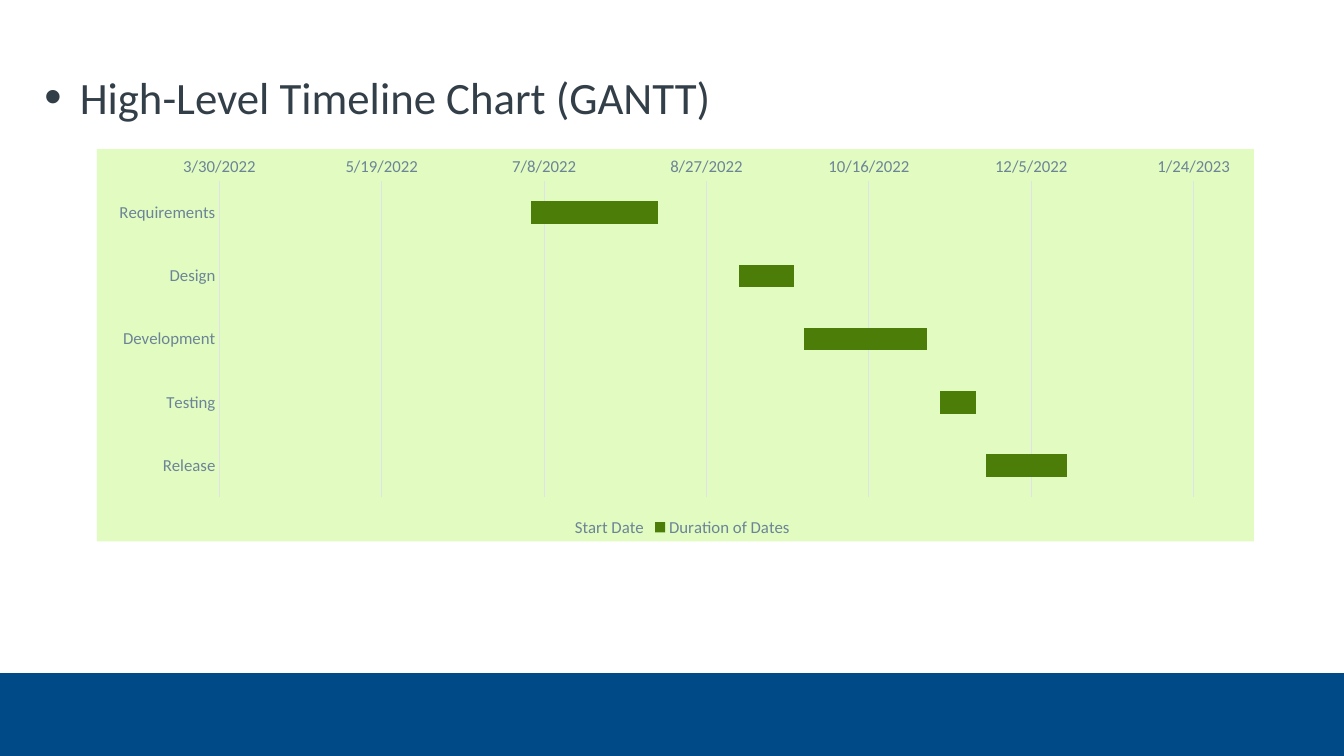
from lxml.etree import SubElement
from pptx import Presentation
from pptx.chart.data import CategoryChartData
from pptx.dml.color import RGBColor
from pptx.enum.chart import (XL_CHART_TYPE as CT, XL_LEGEND_POSITION as LP,
                             XL_TICK_MARK as TM)
from pptx.enum.shapes import MSO_SHAPE
from pptx.enum.text import MSO_ANCHOR, MSO_AUTO_SIZE, PP_ALIGN
from pptx.oxml import parse_xml
from pptx.oxml.ns import nsdecls, qn
from pptx.util import Cm, Pt

NAVY, INK, SLATE, GRID = "004B87", "333F48", "6C8497", "DDE3E7"
PALE_GREEN, GREEN = "E2FBC1", "4B7D08"
FONT = "Calibri"
DATE_FORMAT = "m/d/yyyy"
AXIS_START, AXIS_END, AXIS_STEP = 44650, 44950, 50
PHASES = [
    ("Requirements", 44746, 39),
    ("Design", 44810, 17),
    ("Development", 44830, 38),
    ("Testing", 44872, 11),
    ("Release", 44886, 25),
]
PLOT_LAYOUT = {"x": 0.106, "y": 0.081, "w": 0.842, "h": 0.807}


def rgb(value):
    return RGBColor.from_string(value)


def apply(obj, values):
    for name, value in values.items():
        setattr(obj, name, value)


def set_font(font, size, color):
    apply(font, {"name": FONT, "size": Pt(size), "bold": False})
    font.color.rgb = rgb(color)


def set_line(line, color):
    line.color.rgb = rgb(color)
    line.width = Pt(0.75)


def add_band(s, left, top, width, height, color):
    sp = s.shapes.add_shape(MSO_SHAPE.RECTANGLE, left, top, width, height)
    sp.shadow.inherit = False
    sp.fill.solid()
    sp.fill.fore_color.rgb = rgb(color)
    sp.line.fill.background()


def format_title(s, text):
    sp = s.shapes.title
    apply(sp, {"left": Cm(1.12), "top": Cm(1.63),
               "width": Cm(30.45), "height": Cm(1.6)})
    tf = sp.text_frame
    apply(tf, {"margin_left": 0, "margin_top": 0, "margin_right": 0,
               "margin_bottom": 0, "word_wrap": True,
               "auto_size": MSO_AUTO_SIZE.NONE,
               "vertical_anchor": MSO_ANCHOR.MIDDLE})
    p = tf.paragraphs[0]
    p.alignment = PP_ALIGN.LEFT
    r = p.add_run()
    r.text = text
    set_font(r.font, 32, INK)
    pPr = p._p.get_or_add_pPr()
    pPr.set("marL", str(Cm(0.89)))
    pPr.set("indent", str(Cm(-0.89)))
    SubElement(pPr, qn("a:buSzPct")).set("val", "110000")
    SubElement(pPr, qn("a:buFont")).set("typeface", "Arial")
    SubElement(pPr, qn("a:buChar")).set("char", "•")


def set_plot_layout(chart):
    area = chart.element.find(".//" + qn("c:plotArea"))
    for old in area.findall(qn("c:layout")):
        area.remove(old)
    layout = parse_xml(f'<c:layout {nsdecls("c")}/>')
    manual = SubElement(layout, qn("c:manualLayout"))
    values = {"layoutTarget": "inner", "xMode": "edge", "yMode": "edge",
              **PLOT_LAYOUT}
    for name, value in values.items():
        SubElement(manual, qn("c:" + name)).set("val", str(value))
    area.insert(0, layout)


def fill_chart(chart, color):
    chart.element.find(qn("c:chart")).addnext(parse_xml(
        f'<c:spPr {nsdecls("c", "a")}><a:solidFill><a:srgbClr val="{color}"/>'
        '</a:solidFill><a:ln><a:noFill/></a:ln></c:spPr>'))


def format_axes(chart):
    cat, val = chart.category_axis, chart.value_axis
    for axis in (cat, val):
        apply(axis, {"major_tick_mark": TM.NONE, "minor_tick_mark": TM.NONE})
        set_font(axis.tick_labels.font, 12, SLATE)
    apply(cat, {"reverse_order": True, "has_major_gridlines": False})
    set_line(cat.format.line, GRID)
    apply(val, {"minimum_scale": AXIS_START, "maximum_scale": AXIS_END,
                "major_unit": AXIS_STEP, "has_major_gridlines": True})
    apply(val.tick_labels, {"number_format": DATE_FORMAT,
                            "number_format_is_linked": False})
    set_line(val.major_gridlines.format.line, GRID)
    val.format.line.fill.background()


def add_gantt(s, left, top, width, height):
    names, starts, durations = zip(*PHASES)
    data = CategoryChartData()
    data.categories = names
    data.add_series("Start Date", starts, DATE_FORMAT)
    data.add_series("Duration of Dates", durations)
    chart = s.shapes.add_chart(CT.BAR_STACKED, left, top, width, height,
                               data).chart
    set_font(chart.font, 10, INK)
    apply(chart, {"has_title": False, "has_legend": True})
    apply(chart.legend, {"position": LP.BOTTOM, "include_in_layout": False})
    set_font(chart.legend.font, 12, SLATE)
    plot = chart.plots[0]
    apply(plot, {"gap_width": 182, "overlap": 100, "vary_by_categories": False})
    start, duration = plot.series
    start.format.fill.background()
    start.format.line.fill.background()
    duration.format.fill.solid()
    duration.format.fill.fore_color.rgb = rgb(GREEN)
    format_axes(chart)
    set_plot_layout(chart)
    fill_chart(chart, PALE_GREEN)


def main():
    prs = Presentation()
    prs.slide_width, prs.slide_height = Cm(33.87), Cm(19.05)
    s = prs.slides.add_slide(prs.slide_layouts[5])
    add_band(s, 0, Cm(16.96), prs.slide_width, Cm(2.09), NAVY)
    format_title(s, "High-Level Timeline Chart (GANTT)")
    add_gantt(s, Cm(2.44), Cm(3.76), Cm(29.16), Cm(9.88))
    prs.save("out.pptx")


if __name__ == "__main__":
    main()
